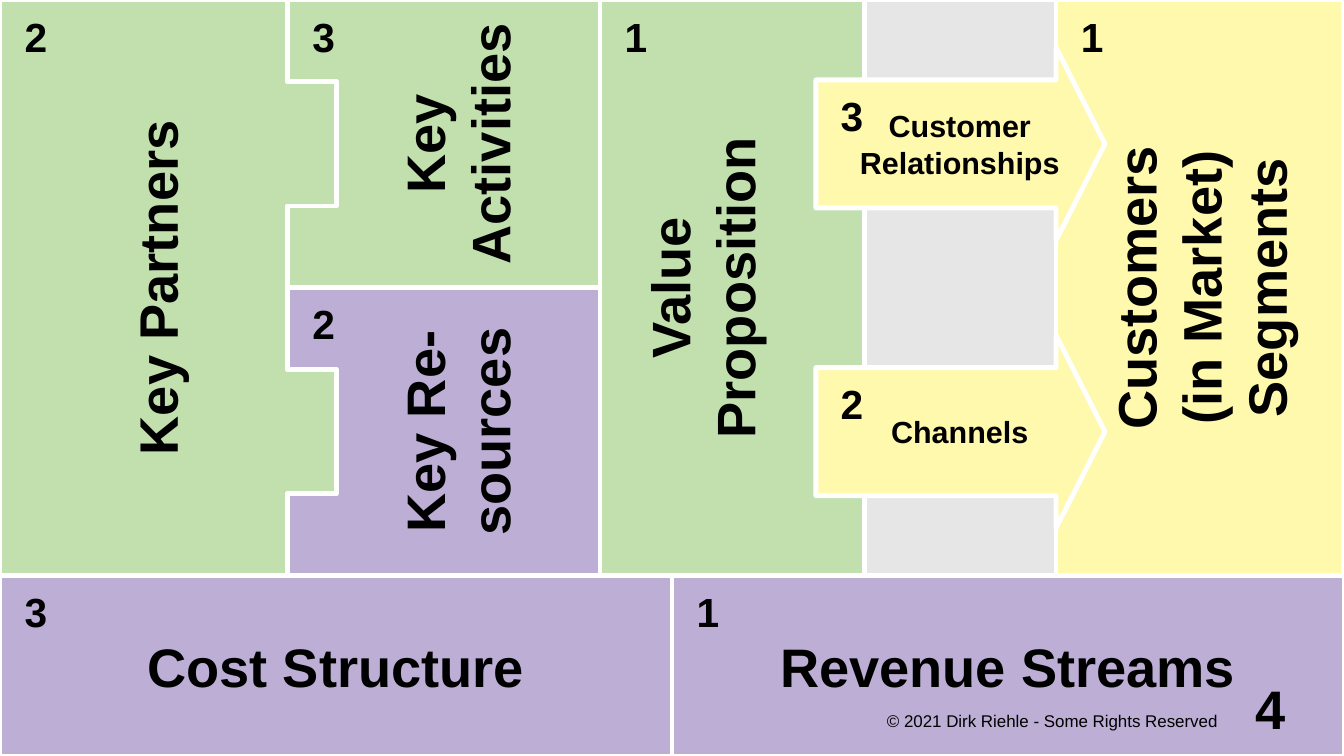
from pptx import Presentation
from pptx.dml.color import RGBColor
from pptx.enum import shapes, text
from pptx.util import Inches, Pt

WIDTH, HEIGHT = 11.02, 6.2
ROW = 2.36  # height of one row; the upper columns span two rows
UPPER = 2 * ROW
LOWER = HEIGHT - UPPER
PARTNERS_RIGHT, VALUE_LEFT, GAP_LEFT, CUSTOMERS_LEFT = 2.36, 4.92, 7.09, 8.66
ARROW_LEFT, ARROW_TIP = 6.69, 9.06
TAB_RIGHT, TAB_TOP, TAB_BOTTOM = 2.76, 0.67, 1.69

GREEN, PURPLE, YELLOW, GRAY = "C2E0AE", "BCAED5", "FFF9AE", "E6E6E6"
WHITE, BLACK = "FFFFFF", "000000"


def color(hex_string):
    return RGBColor.from_string(hex_string)


class Canvas:
    """Holds the style and the current slide."""

    font = "Arial"
    line_width = Pt(2.83)
    inset = 0.08

    def __init__(self, slide):
        self.slide = slide

    def style(self, shape, fill):
        shape.shadow.inherit = False
        shape.fill.solid()
        shape.fill.fore_color.rgb = color(fill)
        shape.line.color.rgb = color(WHITE)
        shape.line.width = self.line_width

    def block(self, left, top, width, height, fill):
        shape = self.slide.shapes.add_shape(
            shapes.MSO_SHAPE.RECTANGLE,
            Inches(left), Inches(top), Inches(width), Inches(height))
        self.style(shape, fill)

    def outline(self, points, fill):
        corners = [(Inches(x), Inches(y)) for x, y in points]
        builder = self.slide.shapes.build_freeform(*corners[0])
        builder.add_line_segments(corners[1:], close=True)
        self.style(builder.convert_to_shape(), fill)

    def label(self, wording, left, top, width, height, size=32, bold=True,
              align=text.PP_ALIGN.CENTER, anchor=text.MSO_ANCHOR.MIDDLE,
              inset=None, upward=False):
        """Add text in the given area; upward text reads from bottom to top."""
        if upward:
            left += (width - height) / 2
            top += (height - width) / 2
            width, height = height, width
        box = self.slide.shapes.add_textbox(
            Inches(left), Inches(top), Inches(width), Inches(height))
        box.rotation = 270 if upward else 0
        frame = box.text_frame
        frame.word_wrap = True
        frame.vertical_anchor = anchor
        margin = Inches(self.inset if inset is None else inset)
        frame.margin_left = frame.margin_right = margin
        frame.margin_top = frame.margin_bottom = margin
        frame.text = wording
        for paragraph in frame.paragraphs:
            paragraph.alignment = align
            for run in paragraph.runs:
                run.font.name = self.font
                run.font.size = Pt(size)
                run.font.bold = bold
                run.font.color.rgb = color(BLACK)

    def notched_block(self, top, fill):
        """Add a block whose left edge takes in a tab of the partners column."""
        self.outline([
            (PARTNERS_RIGHT, top), (VALUE_LEFT, top),
            (VALUE_LEFT, top + ROW), (PARTNERS_RIGHT, top + ROW),
            (PARTNERS_RIGHT, top + TAB_BOTTOM), (TAB_RIGHT, top + TAB_BOTTOM),
            (TAB_RIGHT, top + TAB_TOP), (PARTNERS_RIGHT, top + TAB_TOP)], fill)

    def arrow(self, wording, top):
        middle, half_head, half_shaft = top + ROW / 2, 0.79, 0.525
        upper, lower = middle - half_shaft, middle + half_shaft
        self.outline([
            (ARROW_LEFT, lower), (ARROW_LEFT, upper), (CUSTOMERS_LEFT, upper),
            (CUSTOMERS_LEFT, middle - half_head), (ARROW_TIP, middle),
            (CUSTOMERS_LEFT, middle + half_head), (CUSTOMERS_LEFT, lower)], YELLOW)
        self.label(wording, ARROW_LEFT, upper, 2.36, 2 * half_shaft, size=18)

    def number(self, digit, left, top):
        self.label(digit, left, top + 0.03, 0.59, 0.53, size=24)


def draw_canvas(canvas):
    tabs = []
    for top in (0, ROW):
        tabs += [(PARTNERS_RIGHT, top + TAB_TOP), (TAB_RIGHT, top + TAB_TOP),
                 (TAB_RIGHT, top + TAB_BOTTOM), (PARTNERS_RIGHT, top + TAB_BOTTOM)]
    canvas.outline([(0, UPPER), (0, 0), (PARTNERS_RIGHT, 0), *tabs,
                    (PARTNERS_RIGHT, UPPER)], GREEN)
    canvas.notched_block(ROW, PURPLE)

    for left, right, fill in (
            (GAP_LEFT, CUSTOMERS_LEFT, GRAY),
            (CUSTOMERS_LEFT, WIDTH, YELLOW),
            (VALUE_LEFT, GAP_LEFT, GREEN)):
        canvas.block(left, 0, right - left, UPPER, fill)

    half = WIDTH / 2
    for left, wording in ((0, "Cost Structure"), (half, "Revenue Streams")):
        canvas.block(left, UPPER, half, LOWER, PURPLE)
        canvas.label(wording, left, UPPER, half, LOWER)

    canvas.notched_block(0, GREEN)
    for wording, left, top, width, height in (
            ("Key Partners", 0, 0, 2.56, UPPER),
            ("Key\nActivities", 2.56, 0, 2.36, ROW),
            ("Key Re-sources", 2.56, ROW, 2.36, ROW),
            ("Value\nProposition", VALUE_LEFT, 0, 1.66, UPPER),
            ("Customers\n(in Market)\vSegments", CUSTOMERS_LEFT, 0, 2.36, UPPER)):
        canvas.label(wording, left, top, width, height, upward=True)

    canvas.arrow("Customer Relationships", 0)
    canvas.arrow("Channels", ROW)

    for digit, left, top in (
            ("1", half, UPPER), ("1", CUSTOMERS_LEFT, 0), ("1", VALUE_LEFT, 0),
            ("2", 0, 0), ("3", PARTNERS_RIGHT, 0), ("3", ARROW_LEFT, 0.65),
            ("2", ARROW_LEFT, 0.65 + ROW), ("2", PARTNERS_RIGHT, ROW),
            ("3", 0, UPPER)):
        canvas.number(digit, left, top)

    canvas.label("© 2021 Dirk Riehle - Some Rights Reserved", 7.09, 5.83, 2.88 + 0.01,
                 0.28, size=10, bold=False, align=text.PP_ALIGN.RIGHT,
                 anchor=text.MSO_ANCHOR.TOP, inset=0)
    canvas.label("4", 10.04, 5.51, 0.5, 0.59, align=text.PP_ALIGN.RIGHT, inset=0)


def main():
    presentation = Presentation()
    presentation.slide_width = Inches(WIDTH)
    presentation.slide_height = Inches(HEIGHT)
    blank_layout = presentation.slide_layouts[6]
    draw_canvas(Canvas(presentation.slides.add_slide(blank_layout)))
    presentation.save("out.pptx")


if __name__ == "__main__":
    main()
